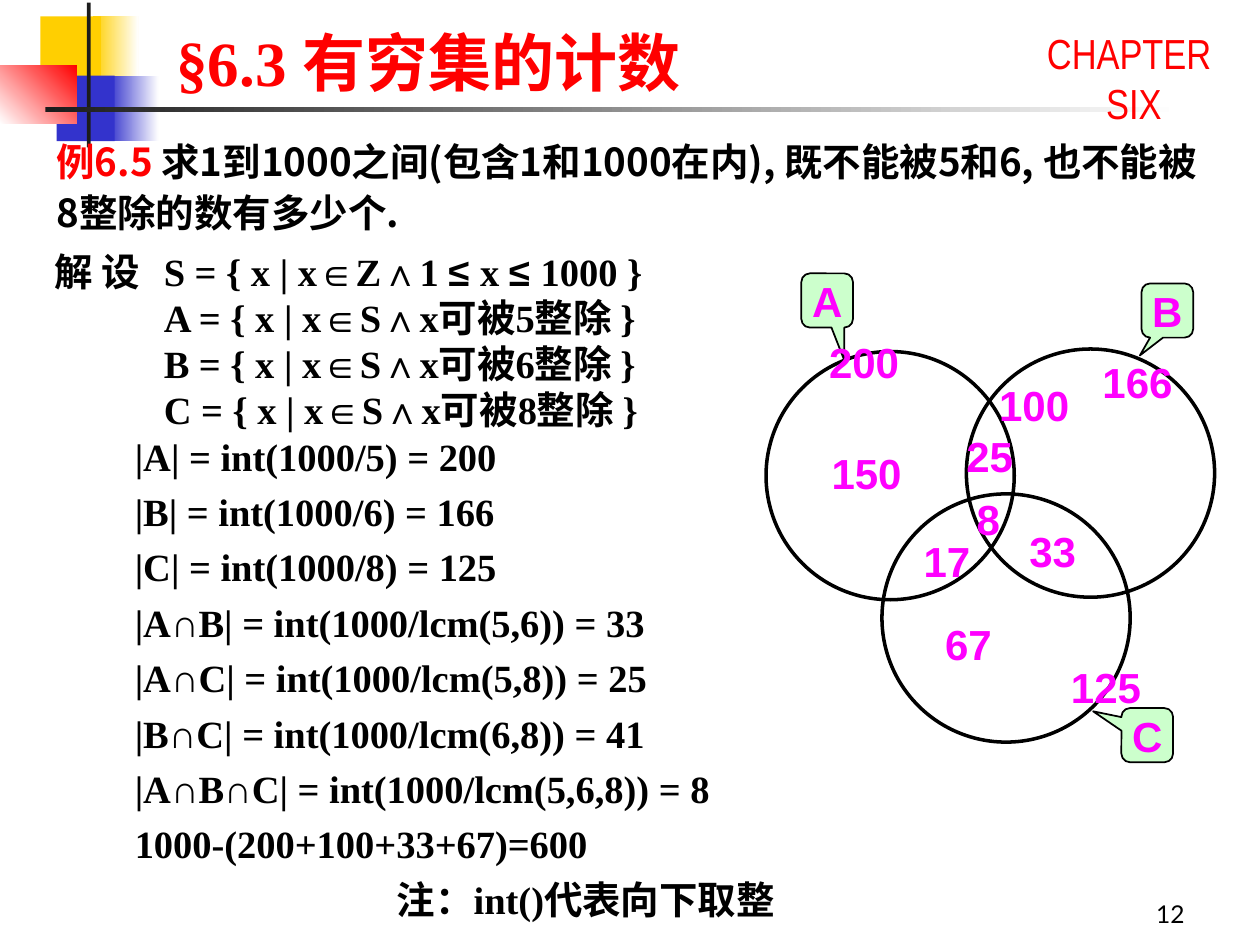
from dataclasses import dataclass

from pptx import Presentation
from pptx.dml.color import RGBColor
from pptx.enum.shapes import MSO_SHAPE
from pptx.enum.text import MSO_ANCHOR, PP_ALIGN
from pptx.util import Inches, Pt

RECT, OVAL = MSO_SHAPE.RECTANGLE, MSO_SHAPE.OVAL
CALLOUT = MSO_SHAPE.ROUNDED_RECTANGULAR_CALLOUT
LEFT, CENTER, RIGHT = PP_ALIGN.LEFT, PP_ALIGN.CENTER, PP_ALIGN.RIGHT
TOP, BOTTOM = MSO_ANCHOR.TOP, MSO_ANCHOR.BOTTOM
PADDED, FLUSH = (0.1, 0.05), (0, 0)


@dataclass(frozen=True)
class Theme:
    """Colours, fonts and type sizes of the slide."""
    black: str = "000000"
    white: str = "FFFFFF"
    red: str = "FF0000"
    magenta: str = "FF00FF"
    mint: str = "CCFFCC"
    yellow: str = "FFCF01"
    blue: str = "3333CC"
    bar: str = "1C1C1C"
    serif: str = "Times New Roman"
    sans: str = "Arial"
    narrow: str = "Arial Narrow"
    cjk: str = "Noto Sans CJK SC"
    lato: str = "Lato"
    title: int = 36
    label: int = 24
    body: int = 22
    number: int = 14


THEME = Theme()


def set_font(font, name, size, color, bold=True):
    """Format a paragraph font."""
    font.name, font.size, font.bold = name, Pt(size), bold
    font.color.rgb = RGBColor.from_string(color)


def set_frame(frame, inset=PADDED, anchor=TOP, wrap=True):
    """Set the insets, anchor and wrapping of a text frame."""
    frame.margin_left = frame.margin_right = Inches(inset[0])
    frame.margin_top = frame.margin_bottom = Inches(inset[1])
    frame.vertical_anchor, frame.word_wrap = anchor, wrap


def add_text(slide, box, lines, name, size, color=THEME.black, bold=True,
             align=LEFT, spacing=1.0, **frame_options):
    """Add a text box with one paragraph per line and return its paragraphs."""
    frame = slide.shapes.add_textbox(*map(Inches, box)).text_frame
    set_frame(frame, **frame_options)
    frame.text = "\n".join(lines)
    for paragraph in frame.paragraphs:
        paragraph.alignment, paragraph.line_spacing = align, spacing
        set_font(paragraph.font, name, size, color, bold)
    return frame.paragraphs


def add_figure(slide, kind, box, fill=None, line=None, width=1):
    """Add a preset shape without shadow."""
    figure = slide.shapes.add_shape(kind, *map(Inches, box))
    figure.shadow.inherit = False
    if fill:
        figure.fill.solid()
        figure.fill.fore_color.rgb = RGBColor.from_string(fill)
    else:
        figure.fill.background()
    if line:
        figure.line.color.rgb = RGBColor.from_string(line)
        figure.line.width = Pt(width)
    else:
        figure.line.fill.background()
    return figure


def add_fade(slide, box, start, end, angle=0):
    """Add a rectangle that fades from one colour to another."""
    fill = add_figure(slide, RECT, box).fill
    fill.gradient()
    fill.gradient_angle = angle
    for stop, color in zip(fill.gradient_stops, (start, end)):
        stop.color.rgb = RGBColor.from_string(color)


def add_ornament(slide, left, top):
    """Draw the coloured blocks and crossing bars of the header."""
    add_fade(slide, (left + 0.74, top + 0.11, 0.36, 0.52), THEME.yellow, THEME.white)
    add_fade(slide, (left + 0.86, top + 0.58, 0.4, 0.52), THEME.blue, THEME.white)
    add_figure(slide, RECT, (left + 0.32, top + 0.11, 0.48, 0.52), THEME.yellow)
    add_figure(slide, RECT, (left + 0.45, top + 0.58, 0.46, 0.52), THEME.blue)
    add_fade(slide, (left, top + 0.5, 0.61, 0.46), THEME.white, THEME.red, 45)
    add_figure(slide, RECT, (left + 0.69, top, 0.03, 1.15), THEME.bar)
    add_fade(slide, (left + 0.36, top + 0.83, 9, 0.04), THEME.bar, THEME.white)


def add_heading(slide, left, top):
    """Place the title and the chapter mark."""
    title = slide.shapes.title
    title.left, title.top = Inches(left), Inches(top)
    title.width, title.height = Inches(6.22), Inches(0.7)
    set_frame(title.text_frame)
    title.text_frame.text = "§6.3 有穷集的计数"
    heading = title.text_frame.paragraphs[0]
    heading.alignment = LEFT
    set_font(heading.font, THEME.serif, THEME.title, THEME.red)
    add_text(slide, (left + 6.7, top + 0.03, 2, 0.9), ["CHAPTER  SIX"],
             THEME.narrow, THEME.label, THEME.red, False, CENTER)


def add_problem(slide, left, top):
    """State the example with its number in red."""
    problem, = add_text(slide, (left, top, 9.34, 1.08), ["例6.5 "],
                        THEME.cjk, THEME.body, spacing=1.1)
    problem.runs[0].font.color.rgb = RGBColor.from_string(THEME.red)
    problem.add_run().text = ("求1到1000之间(包含1和1000在内), 既不能被5和6, "
                              "也不能被8整除的数有多少个.")


def add_definitions(slide, left, top):
    """Define the sets, with the relation signs in the sans font."""
    add_text(slide, (left, top, 0.79, 0.4), ["解 设"], THEME.sans, THEME.body,
             spacing=1.1, inset=FLUSH)
    definitions = [("S = { x | x", "∈", "Z∧1 ", "≤ ", "x ", "≤ ", "1000 }")]
    definitions += [(f"{name} = {{ x | x", "∈", f"S∧x可被{divisor}整除 }}")
                    for name, divisor in (("A", 5), ("B", 6), ("C", 8))]
    paragraphs = add_text(slide, (left + 0.87, top, 4.46, 1.5), [""] * len(definitions),
                          THEME.serif, THEME.body, inset=FLUSH)
    paragraphs[0].line_spacing = 1.1
    for paragraph, parts in zip(paragraphs, definitions):
        for index, part in enumerate(parts):
            run = paragraph.add_run()
            run.text = part
            if index % 2:
                run.font.name = THEME.sans


def add_solution(slide, left, top):
    """List the counts and the indented closing note."""
    counts = [
        ("|A|", "1000/5", 200), ("|B|", "1000/6", 166), ("|C|", "1000/8", 125),
        ("|A∩B|", "1000/lcm(5,6)", 33), ("|A∩C|", "1000/lcm(5,8)", 25),
        ("|B∩C|", "1000/lcm(6,8)", 41), ("|A∩B∩C|", "1000/lcm(5,6,8)", 8)]
    lines = [f"{size} = int({quotient}) = {value}" for size, quotient, value in counts]
    lines += ["1000-(200+100+33+67)=600", "注：int()代表向下取整"]
    note = add_text(slide, (left, top, 5.5, 3.96), lines, THEME.serif, THEME.body,
                    spacing=1.2, inset=FLUSH)[-1]
    note._p.get_or_add_pPr().set("marL", str(Inches(2.08)))


def add_venn(slide, left, top):
    """Draw the three sets with their name callouts and element counts."""
    sets = [("B", (1.59, 0.6), (2.98, 0.08), (-0.533, 0.83)),
            ("A", (0, 0.62), (0.28, 0), (0.331, 1.103)),
            ("C", (0.92, 1.75), (2.82, 3.45), (-1.049, -0.44))]
    for name, (x, y), (tag_x, tag_y), tip in sets:
        add_figure(slide, OVAL, (left + x, top + y, 1.97, 1.97),
                   line=THEME.black, width=2)
        tag = add_figure(slide, CALLOUT, (left + tag_x, top + tag_y, 0.41, 0.43),
                         THEME.mint, THEME.black)
        tag.adjustments[0], tag.adjustments[1] = tip
        set_frame(tag.text_frame, FLUSH)
        tag.text_frame.text = name
        letter = tag.text_frame.paragraphs[0]
        letter.alignment = CENTER
        set_font(letter.font, THEME.sans, THEME.label, THEME.magenta)
    counts = [("33", 2.09, 2), ("8", 1.67, 1.75), ("100", 1.85, 0.84),
              ("25", 1.59, 1.25), ("200", 0.5, 0.5), ("166", 2.67, 0.66),
              ("125", 2.42, 3.08), ("67", 1.42, 2.74), ("17", 1.25, 2.08),
              ("150", 0.52, 1.38)]
    for count, x, y in counts:
        add_text(slide, (left + x, top + y, 0.19 * len(count), 0.4), [count],
                 THEME.sans, THEME.label, THEME.magenta, inset=FLUSH, wrap=False)


def main():
    """Build and save the slide."""
    deck = Presentation()
    deck.slide_width, deck.slide_height = Inches(10), Inches(7.5)
    slide = deck.slides.add_slide(deck.slide_layouts[5])
    add_ornament(slide, 0, 0.02)
    add_heading(slide, 1.3, 0.14)
    add_problem(slide, 0.35, 1.01)
    add_definitions(slide, 0.43, 1.93)
    add_solution(slide, 1.07, 3.36)
    add_venn(slide, 6.08, 2.17)
    add_text(slide, (7.42, 6.92, 2.08, 0.5), ["12"], THEME.lato, THEME.number,
             bold=False, align=RIGHT, anchor=BOTTOM)
    deck.save("out.pptx")


if __name__ == "__main__":
    main()
